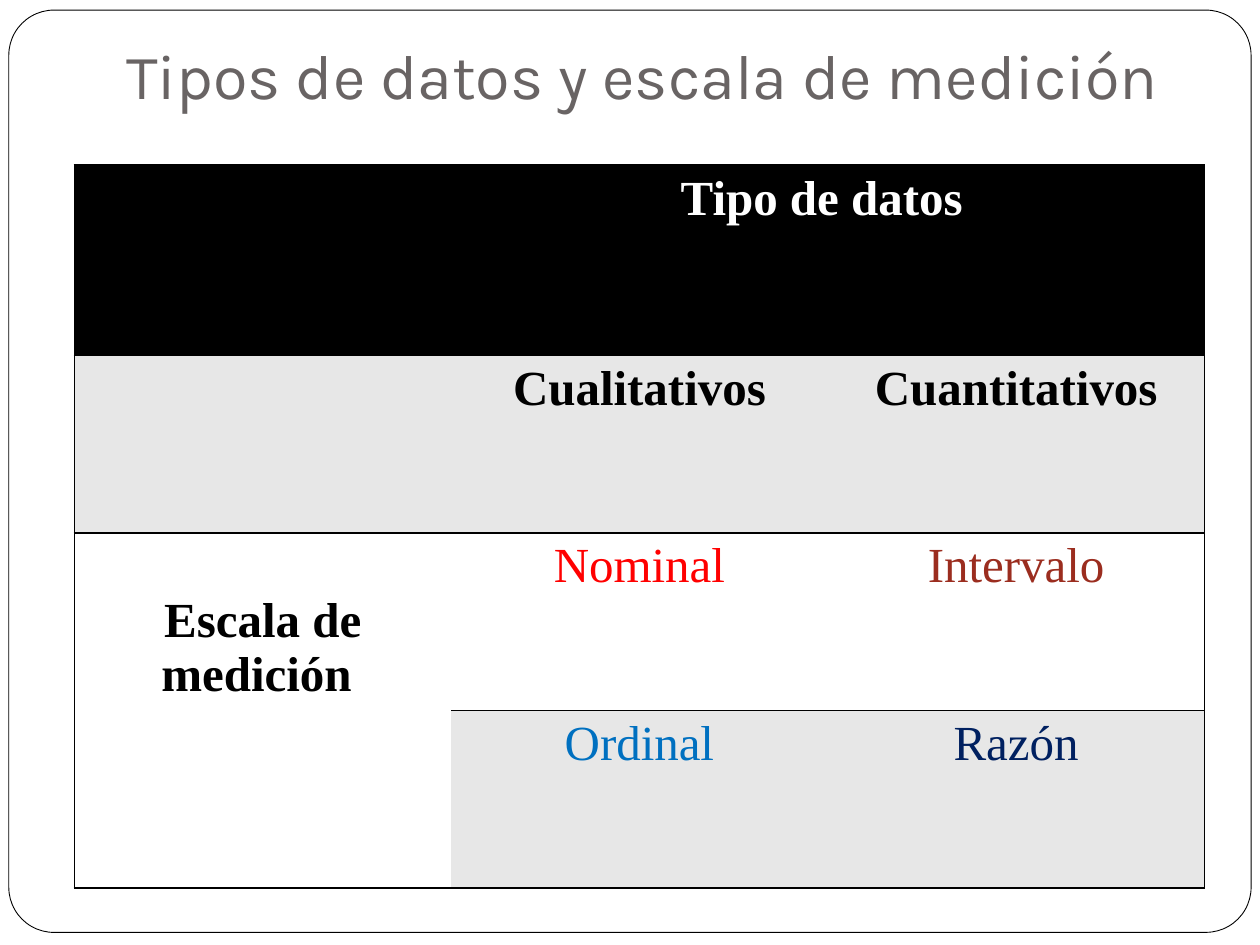
from lxml.etree import SubElement
from pptx import Presentation
from pptx.dml.color import RGBColor
from pptx.enum.shapes import MSO_SHAPE
from pptx.enum.text import MSO_ANCHOR, MSO_AUTO_SIZE, PP_ALIGN
from pptx.oxml.ns import qn
from pptx.util import Inches, Pt

COLORS = {
    "black": "000000", "white": "FFFFFF", "band": "E7E7E7", "title": "696464",
    "nominal": "FF0000", "interval": "9B2D1F", "ordinal": "0070C0", "ratio": "002060",
}


def rgb(name):
    return RGBColor.from_string(COLORS[name])


def add_borders(cell, drawn_sides):
    """Draw a 1 pt black line on the given sides and none on the others."""
    properties = cell._tc.get_or_add_tcPr()
    for side in "LRTB":
        line = SubElement(properties, qn(f"a:ln{side}"), w=str(Pt(1)))
        if side in drawn_sides:
            fill = SubElement(line, qn("a:solidFill"))
            SubElement(fill, qn("a:srgbClr"), val=COLORS["black"])
        else:
            SubElement(line, qn("a:noFill"))


prs = Presentation()
prs.slide_width, prs.slide_height = Inches(10), Inches(7.5)
slide = prs.slides.add_slide(prs.slide_layouts[5])

# Rounded frame, behind everything else
frame = slide.shapes.add_shape(
    MSO_SHAPE.ROUNDED_RECTANGLE, Inches(0.07), Inches(0.08), Inches(9.86), Inches(7.32))
frame.adjustments[0] = 0.049
frame.shadow.inherit = False
frame.fill.solid()
frame.fill.fore_color.rgb = rgb("white")
frame.line.color.rgb = rgb("black")
frame.line.width = Pt(0.5)
slide.shapes._spTree.insert(2, frame._element)

# Title
title = slide.shapes.title
title.left, title.top, title.width, title.height = (
    Inches(0.2), Inches(0), Inches(9.8), Inches(0.99))
title_text = title.text_frame
title_text.text = "Tipos de datos y escala de medición"
title_text.auto_size = MSO_AUTO_SIZE.NONE
title_text.word_wrap = True
title_text.vertical_anchor = MSO_ANCHOR.BOTTOM
title_text.margin_bottom = Inches(0.1)
heading = title_text.paragraphs[0]
heading.alignment = PP_ALIGN.CENTER
heading.font.name = "Karla"
heading.font.size = Pt(36)
heading.font.color.rgb = rgb("title")

# Data types against measurement scales: text, text colour, bold
EMPTY = ("", "black", False)
ROWS = [
    [EMPTY, ("Tipo de datos ", "white", True), EMPTY],
    [EMPTY, ("Cualitativos", "black", True), ("Cuantitativos", "black", True)],
    [("Escala de medición ", "black", True), ("Nominal", "nominal", False),
     ("Intervalo", "interval", False)],
    [EMPTY, ("Ordinal", "ordinal", False), ("Razón", "ratio", False)],
]
ROW_FILLS = ["black", "band", "white", "band"]
ROW_HEIGHTS = [1.51, 1.41, 1.41, 1.41]

table = slide.shapes.add_table(
    4, 3, Inches(0.59), Inches(1.31), Inches(8.98), Inches(5.75)).table
for column in table.columns:
    column.width = Inches(2.99)
for row, height in zip(table.rows, ROW_HEIGHTS):
    row.height = Inches(height)

data_header, scale_header = table.cell(0, 1), table.cell(2, 0)
data_header.merge(table.cell(0, 2))
scale_header.merge(table.cell(3, 0))

for r, (entries, row_fill) in enumerate(zip(ROWS, ROW_FILLS)):
    for c, (text, color, bold) in enumerate(entries):
        cell = table.cell(r, c)
        last_column = c + (cell.span_width if cell.is_merge_origin else 1) == 3
        add_borders(cell, "TB" + ("L" if c == 0 else "") + ("R" if last_column else ""))
        cell.fill.solid()
        cell.fill.fore_color.rgb = rgb("white" if (r, c) == (3, 0) else row_fill)
        cell.text = text
        paragraph = cell.text_frame.paragraphs[0]
        paragraph.alignment = PP_ALIGN.CENTER
        paragraph.font.name = "Times New Roman"
        paragraph.font.size = Pt(28)
        paragraph.font.bold = bold
        paragraph.font.color.rgb = rgb(color)
scale_header.margin_top = Inches(0.48)

prs.save("out.pptx")
